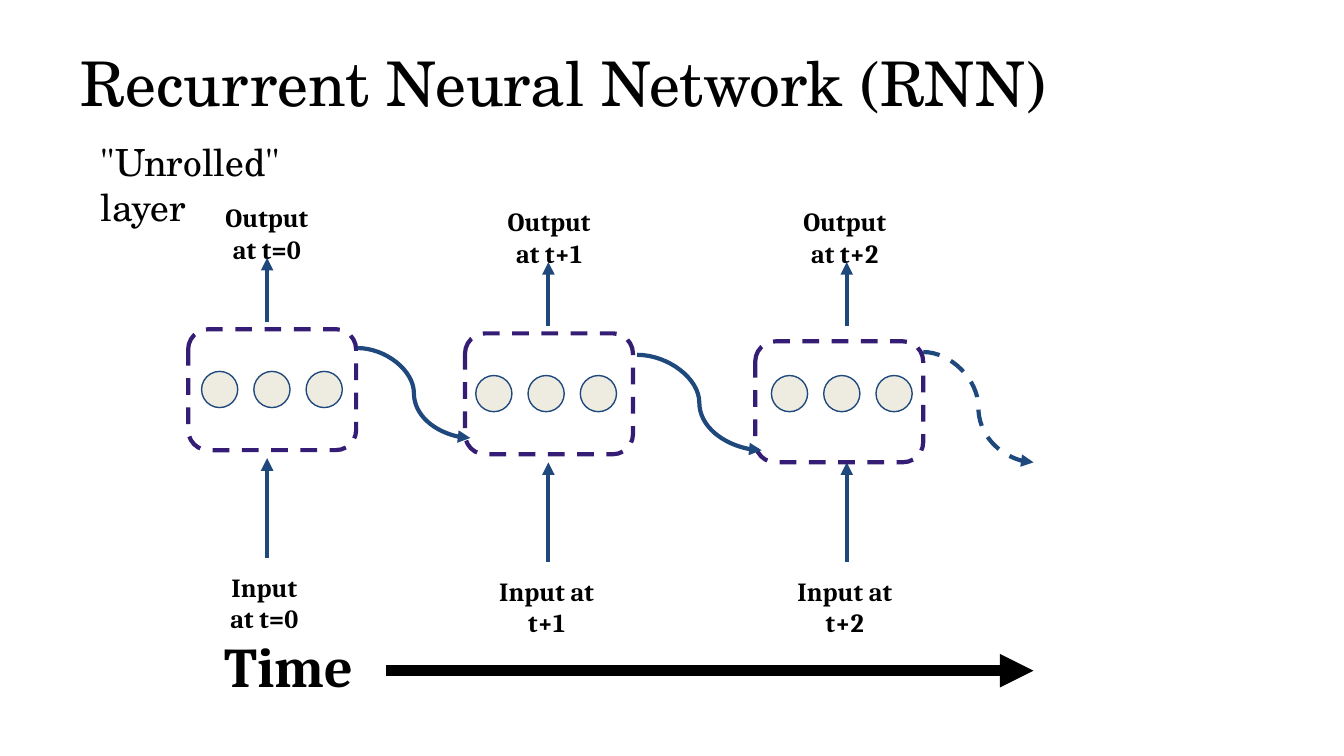
from lxml import etree
from pptx import Presentation
from pptx.dml.color import RGBColor
from pptx.enum.dml import MSO_LINE
from pptx.enum.shapes import MSO_CONNECTOR, MSO_SHAPE
from pptx.enum.text import MSO_ANCHOR, PP_ALIGN
from pptx.oxml.ns import qn
from pptx.util import Pt

STRAIGHT, CURVE = MSO_CONNECTOR.STRAIGHT, MSO_CONNECTOR.CURVE
ROUNDED, OVAL = MSO_SHAPE.ROUNDED_RECTANGLE, MSO_SHAPE.OVAL
DASH = MSO_LINE.DASH
TOP = MSO_ANCHOR.TOP
LEFT, CENTER = PP_ALIGN.LEFT, PP_ALIGN.CENTER

BLACK = RGBColor(0x00, 0x00, 0x00)
NAVY = RGBColor(0x1F, 0x49, 0x7D)
PURPLE = RGBColor(0x35, 0x1C, 0x75)
CREAM = RGBColor(0xEE, 0xEC, 0xE1)

TITLE_FONT, LABEL_FONT = "TeX Gyre Schola", "Cambria"
LABEL_WIDTH, LABEL_HEIGHT = 70, 27
CELL_WIDTH, CELL_HEIGHT = 90, 64.8
NEURON_SIZE, NEURON_PITCH = 19.4, 28

# Each step: names of the time, column top, axis, input/output label lefts, cell corner, neurons left
STEPS = [
    {"input": "Input\nat t=0", "output": "Output at t=0", "top": 100.8, "axis": 143.1,
     "input_left": 106.6, "output_left": 108, "cell": (100.8, 176.4), "neurons_left": 108},
    {"input": "Input at t+1", "output": "Output at t+1", "top": 103, "axis": 293.8,
     "input_left": 257.8, "output_left": 259.2, "cell": (249.1, 178.6), "neurons_left": 254.9},
    {"input": "Input at t+2", "output": "Output at t+2", "top": 103, "axis": 453.6,
     "input_left": 417.6, "output_left": 417.6, "cell": (404.6, 182.9), "neurons_left": 413.3},
]
HANDOVERS = [
    ((191.5, 186.5), (252, 234.7), None),
    ((341.3, 190.1), (408, 241.2), None),
    ((494.6, 188.6), (553.7, 247.7), DASH),
]


def set_all(target, values):
    """Set every named attribute of the target."""
    for name, value in values.items():
        setattr(target, name, value)


def write(holder, text, size, font, bold=False, align=LEFT, margin=7.2, margin_y=7.2):
    """Write text, one paragraph a line, into a box or placeholder."""
    frame = holder.text_frame
    set_all(frame, {"word_wrap": True, "vertical_anchor": TOP,
                    "margin_left": Pt(margin), "margin_right": Pt(margin),
                    "margin_top": Pt(margin_y), "margin_bottom": Pt(margin_y)})
    frame.text = text
    for paragraph in frame.paragraphs:
        paragraph.alignment = align
        for run in paragraph.runs:
            set_all(run.font, {"size": Pt(size), "name": font, "bold": bold})
            run.font.color.rgb = BLACK


def add_label(slide, box, text, size, font, **style):
    """Add a text box at the given box."""
    label = slide.shapes.add_textbox(*map(Pt, box))
    write(label, text, size, font, **style)


def add_arrow(slide, start, end, kind=STRAIGHT, color=NAVY, width=2.25, dash=None):
    """Draw a connector with a triangle at its end."""
    arrow = slide.shapes.add_connector(kind, *map(Pt, (*start, *end)))
    arrow.line.color.rgb = color
    set_all(arrow.line, {"width": Pt(width), "dash_style": dash})
    etree.SubElement(arrow.line._get_or_add_ln(), qn("a:tailEnd"), type="triangle")
    etree.SubElement(arrow._element.spPr, qn("a:effectLst"))


def add_outline(slide, kind, box, color, width, fill=None, dash=None):
    """Add an outlined preset shape, filled only when a fill is given."""
    shape = slide.shapes.add_shape(kind, *map(Pt, box))
    shape.shadow.inherit = False
    if fill is None:
        shape.fill.background()
    else:
        shape.fill.solid()
        shape.fill.fore_color.rgb = fill
    shape.line.color.rgb = color
    set_all(shape.line, {"width": Pt(width), "dash_style": dash})


def add_heading(slide, left, top, width, height):
    """Place the title and the caption below it."""
    title = slide.shapes.title
    set_all(title, {"left": Pt(left), "top": Pt(top), "width": Pt(width), "height": Pt(height)})
    write(title, "Recurrent Neural Network (RNN)", 33, TITLE_FONT)
    add_label(slide, (left + 10.8, top + 54.7, 158, 31.7), '"Unrolled" layer', 20,
              TITLE_FONT, margin_y=3.6)


def add_step(slide, step):
    """Place one unrolled time step: labels, arrows, cell and neurons."""
    top, axis = step["top"], step["axis"]
    label_style = {"bold": True, "align": CENTER}
    for text, left, offset in ((step["output"], step["output_left"], 0),
                               (step["input"], step["input_left"], 198)):
        add_label(slide, (left, top + offset, LABEL_WIDTH, LABEL_HEIGHT), text, 14,
                  LABEL_FONT, **label_style)
    for start, end in ((71.6, 37.4), (198, 144.7)):
        add_arrow(slide, (axis, top + start), (axis, top + end))
    add_outline(slide, ROUNDED, (*step["cell"], CELL_WIDTH, CELL_HEIGHT), PURPLE, 2.25, dash=DASH)
    for index in range(3):
        left = step["neurons_left"] + index * NEURON_PITCH
        add_outline(slide, OVAL, (left, top + 98.2, NEURON_SIZE, NEURON_SIZE), NAVY, 0.75, CREAM)


def add_time_axis(slide, left, top, width, height):
    """Place the time label and the heavy arrow reaching the right edge."""
    add_label(slide, (left, top, 126, height), "Time", 30, LABEL_FONT, bold=True)
    middle = top + 28.1
    add_arrow(slide, (left + 93.6, middle), (left + width, middle), color=BLACK, width=6)


def main():
    """Build and save the slide."""
    deck = Presentation()
    set_all(deck, {"slide_width": Pt(720), "slide_height": Pt(405)})
    slide = deck.slides.add_slide(deck.slide_layouts[5])
    add_heading(slide, 36, 16.6, 648, 67.7)
    for step in STEPS:
        add_step(slide, step)
    for start, end, dash in HANDOVERS:
        add_arrow(slide, start, end, kind=CURVE, dash=dash)
    add_time_axis(slide, 113, 331.2, 440.7, 45.4)
    deck.save("out.pptx")


if __name__ == "__main__":
    main()
